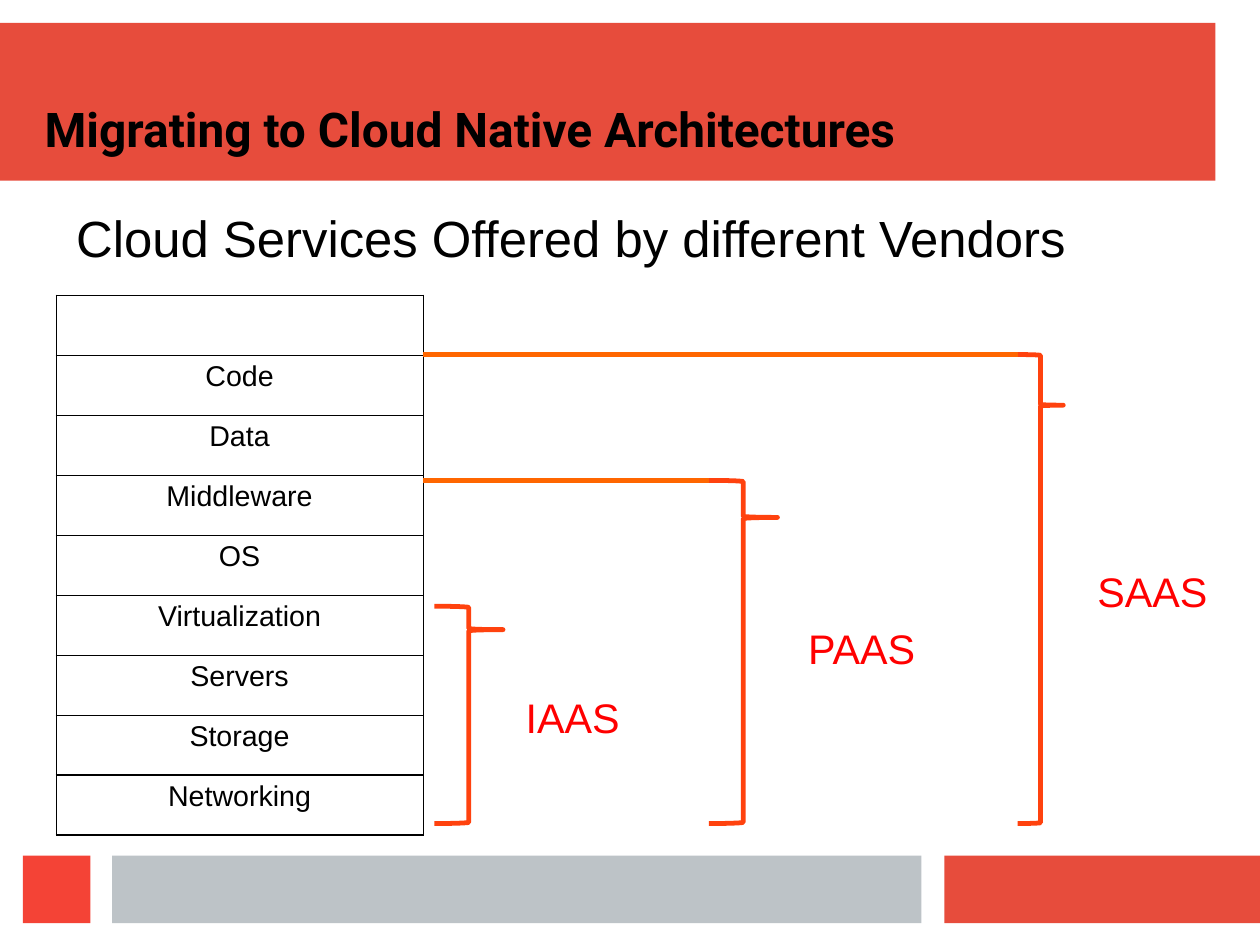
from dataclasses import dataclass

from lxml.etree import SubElement
from pptx import Presentation
from pptx.dml.color import RGBColor
from pptx.enum.shapes import MSO_CONNECTOR, MSO_SHAPE
from pptx.enum.text import MSO_ANCHOR, PP_ALIGN
from pptx.oxml.ns import qn
from pptx.util import Inches, Pt


@dataclass(frozen=True)
class Theme:
    banner: str = "E74C3C"
    accent: str = "F44336"
    footer: str = "BDC3C7"
    brace: str = "FF420E"
    link: str = "FF6600"
    service: str = "FF0000"
    text: str = "000000"
    heading_font: str = "Roboto"
    body_font: str = "Arial"
    title_size: float = 30.1
    subtitle_size: float = 32
    service_size: float = 26
    layer_size: float = 18
    line_width: float = 3
    border_width: float = 0.75


def write_text(frame, text, *, size, color, font, bold=False, align=PP_ALIGN.LEFT):
    paragraph = frame.paragraphs[0]
    paragraph.alignment = align
    run = paragraph.add_run()
    run.text = text
    run.font.size = Pt(size)
    run.font.name = font
    run.font.bold = bold
    run.font.color.rgb = RGBColor.from_string(color)


class SlideBuilder:
    def __init__(self, slide, theme):
        self.slide = slide
        self.theme = theme

    def block(self, left, top, width, height, color):
        shape = self.slide.shapes.add_shape(
            MSO_SHAPE.RECTANGLE, Inches(left), Inches(top), Inches(width), Inches(height)
        )
        shape.shadow.inherit = False
        shape.fill.solid()
        shape.fill.fore_color.rgb = RGBColor.from_string(color)
        shape.line.fill.background()

    def text(self, left, top, width, height, text, *, padded=True,
             anchor=MSO_ANCHOR.TOP, **style):
        box = self.slide.shapes.add_textbox(
            Inches(left), Inches(top), Inches(width), Inches(height)
        )
        frame = box.text_frame
        frame.word_wrap = True
        frame.vertical_anchor = anchor
        frame.margin_left = frame.margin_right = Inches(0.1 if padded else 0)
        frame.margin_top = frame.margin_bottom = Inches(0.05 if padded else 0)
        write_text(frame, text, **style)

    def border(self, cell):
        properties = cell._tc.get_or_add_tcPr()
        for side in ("a:lnL", "a:lnR", "a:lnT", "a:lnB"):
            line = SubElement(properties, qn(side), w=str(Pt(self.theme.border_width)))
            fill = SubElement(line, qn("a:solidFill"))
            SubElement(fill, qn("a:srgbClr"), val=self.theme.text)

    def layer_table(self, left, top, width, height, layers):
        table = self.slide.shapes.add_table(
            len(layers), 1, Inches(left), Inches(top), Inches(width), Inches(height)
        ).table
        table.first_row = False
        table.horz_banding = False
        for row, layer in zip(table.rows, layers):
            row.height = Inches(height / len(layers))
            cell = row.cells[0]
            self.border(cell)
            cell.fill.background()
            if layer:
                write_text(cell.text_frame, layer, size=self.theme.layer_size,
                           color=self.theme.text, font=self.theme.body_font,
                           align=PP_ALIGN.CENTER)

    def brace(self, left, top, width, bottom):
        shape = self.slide.shapes.add_shape(
            MSO_SHAPE.RIGHT_BRACE, Inches(left), Inches(top),
            Inches(width), Inches(bottom - top)
        )
        shape.shadow.inherit = False
        shape.adjustments[0] = 0.018
        shape.adjustments[1] = 0.108
        shape.fill.background()
        shape.line.color.rgb = RGBColor.from_string(self.theme.brace)
        shape.line.width = Pt(self.theme.line_width)

    def link(self, start, end, height):
        connector = self.slide.shapes.add_connector(
            MSO_CONNECTOR.STRAIGHT, Inches(start), Inches(height), Inches(end), Inches(height)
        )
        connector.line.color.rgb = RGBColor.from_string(self.theme.link)
        connector.line.width = Pt(self.theme.line_width)
        SubElement(connector._element.spPr, qn("a:effectLst"))


def main():
    theme = Theme()
    presentation = Presentation()
    presentation.slide_width = Inches(11.02)
    presentation.slide_height = Inches(8.27)
    slide = presentation.slides.add_slide(presentation.slide_layouts[6])
    builder = SlideBuilder(slide, theme)

    builder.block(0, 0.2, 10.63, 1.38, theme.banner)
    for left, width, color in (
        (8.26, 2.76, theme.banner),
        (0.98, 7.08, theme.footer),
        (0.2, 0.59, theme.accent),
    ):
        builder.block(left, 7.48, width, 0.59, color)

    builder.text(0.39, 0.39, 10.23, 0.98, "Migrating to Cloud Native Architectures",
                 padded=False, anchor=MSO_ANCHOR.BOTTOM, size=theme.title_size,
                 color=theme.text, font=theme.heading_font, bold=True)
    builder.text(0.2, 1.76, 9.6, 0.6, "Cloud Services Offered by different Vendors",
                 size=theme.subtitle_size, color=theme.text, font=theme.body_font,
                 align=PP_ALIGN.CENTER)

    layers = ("", "Code", "Data", "Middleware", "OS", "Virtualization",
              "Servers", "Storage", "Networking")
    table_left, table_width = 0.49, 3.21
    table_right = table_left + table_width
    builder.layer_table(table_left, 2.58, table_width, 4.72, layers)

    services = (
        ("IAAS", 3.8, 5.3, 0.6, 4.5, 6, False),
        ("PAAS", 6.2, 4.2, 0.6, 6.97, 5.4, True),
        ("SAAS", 8.9, 3.1, 0.4, 9.5, 4.9, True),
    )
    for name, left, top, width, label_left, label_top, linked in services:
        builder.brace(left, top, width, 7.2)
        if linked:
            builder.link(left, table_right, top)
        builder.text(label_left, label_top, 1.3, 0.5, name,
                     size=theme.service_size, color=theme.service, font=theme.body_font)

    presentation.save("out.pptx")


if __name__ == "__main__":
    main()
